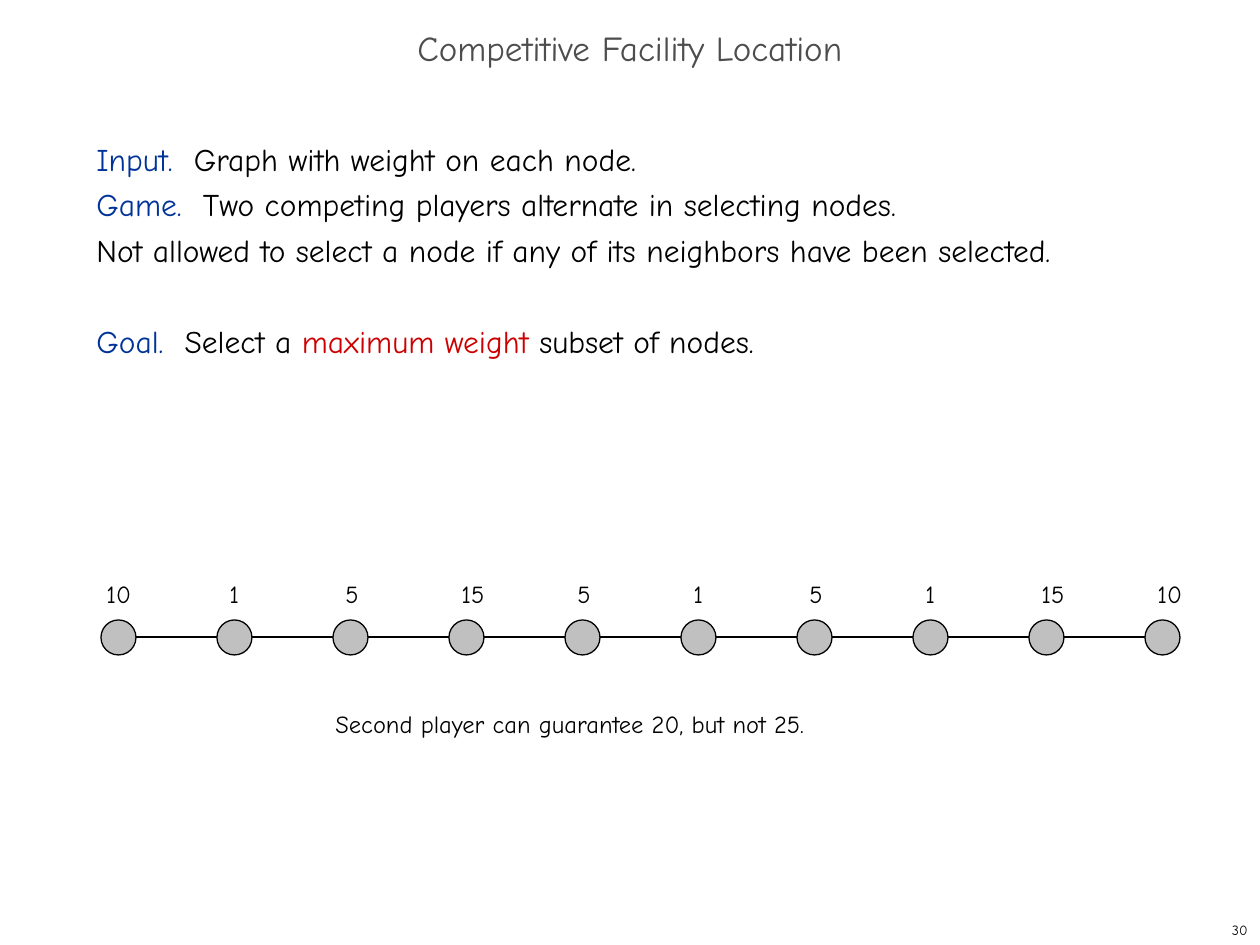
from dataclasses import dataclass

from pptx import Presentation
from pptx.dml.color import RGBColor
from pptx.enum.shapes import MSO_CONNECTOR, MSO_SHAPE
from pptx.enum.text import MSO_ANCHOR, MSO_AUTO_SIZE, PP_ALIGN
from pptx.oxml.ns import qn
from pptx.shapes.autoshape import Shape
from pptx.slide import Slide
from pptx.util import Emu, Pt

SCALE = 914400 / 126
FONT = "Comic Neue"
INK = {"black": "000000", "gray": "4D4D4D", "blue": "003399",
       "red": "CC0000", "node": "C0C0C0"}

LEFT, TOP, SIZE, STEP = 101, 620, 35, 116
WIDE = {"1": 35, "5": 39, "15": 49, "10": 50}


@dataclass
class Node:
    weight: str
    shift: int = 0


@dataclass
class Part:
    text: str
    ink: str = "black"


@dataclass
class Para:
    lines: list[list[Part]]
    before: int = 0


NODES = [Node("10", -7), Node("1"), Node("5"), Node("15"), Node("5"),
         Node("1"), Node("5"), Node("1"), Node("15"), Node("10")]

BODY = [
    Para([[Part("Input.  ", "blue"), Part("Graph with weight on each node.")]]),
    Para([[Part("Game.  ", "blue"),
           Part("Two competing players alternate in selecting nodes.")],
          [Part("Not allowed to select a node if any of its neighbors have been selected.")]]),
    Para([[Part("Goal.  ", "blue"), Part("Select a "),
           Part("maximum weight", "red"), Part(" subset of nodes.")]], before=26),
]


def px(num: int) -> Emu:
    return Emu(round(num * SCALE))


def rgb(name: str) -> RGBColor:
    return RGBColor.from_string(INK[name])


def style(run, size: int, ink: str) -> None:
    run.font.name = FONT
    run.font.size = Pt(size)
    run.font.color.rgb = rgb(ink)


def add_box(slide: Slide, x: int, y: int, w: int, h: int, wrap: bool = True) -> Shape:
    box = slide.shapes.add_textbox(px(x), px(y), px(w), px(h))
    box.text_frame.word_wrap = wrap
    if not wrap:
        box.text_frame.auto_size = MSO_AUTO_SIZE.SHAPE_TO_FIT_TEXT
    return box


def fill_box(box: Shape, text: str, size: int, ink: str = "black",
             align: PP_ALIGN = PP_ALIGN.LEFT) -> None:
    box.text_frame.text = text
    para = box.text_frame.paragraphs[0]
    para.alignment = align
    style(para.runs[0], size, ink)


def add_title(slide: Slide) -> None:
    box = add_box(slide, 0, 21, 1260, 63)
    box.text_frame.vertical_anchor = MSO_ANCHOR.MIDDLE
    fill_box(box, "Competitive Facility Location", 20, "gray", PP_ALIGN.CENTER)
    box.text_frame.paragraphs[0].line_spacing = 0.7


def add_body(slide: Slide) -> None:
    frame = add_box(slide, 84, 126, 1081, 746).text_frame
    for i, item in enumerate(BODY):
        para = frame.add_paragraph() if i else frame.paragraphs[0]
        para.line_spacing = Pt(26)
        para.space_before = Pt(item.before)
        for j, line in enumerate(item.lines):
            if j:
                para.add_line_break()
            for part in line:
                run = para.add_run()
                run.text = part.text
                style(run, 18, part.ink)


def add_node(slide: Slide, node: Node, x: int) -> None:
    """Draw one circle with its weight above it."""
    dot = slide.shapes.add_shape(MSO_SHAPE.OVAL, px(x), px(TOP), px(SIZE), px(SIZE))
    dot.shadow.inherit = False
    dot.fill.solid()
    dot.fill.fore_color.rgb = rgb("node")
    dot.line.color.rgb = rgb("black")
    dot.line.width = Pt(0.75)
    box = add_box(slide, x + node.shift, 573, WIDE[node.weight], 42, wrap=False)
    fill_box(box, node.weight, 14)


def add_edge(slide: Slide, start: int, end: int) -> None:
    y = px(TOP + SIZE // 2)
    edge = slide.shapes.add_connector(MSO_CONNECTOR.STRAIGHT, px(start), y, px(end), y)
    edge.line.color.rgb = rgb("black")
    edge.line.width = Pt(0.75)
    props = edge._element.spPr
    props.append(props.makeelement(qn("a:effectLst"), {}))


def main() -> None:
    deck = Presentation()
    deck.slide_width, deck.slide_height = px(1260), px(945)
    slide = deck.slides.add_slide(deck.slide_layouts[6])

    add_title(slide)
    add_body(slide)
    for i, node in enumerate(NODES):
        x = LEFT + i * STEP
        add_node(slide, node, x)
        if i:
            add_edge(slide, x - STEP + SIZE, x)

    note = add_box(slide, 323, 703, 496, 42, wrap=False)
    fill_box(note, "Second player can guarantee 20, but not 25.", 14)
    page = add_box(slide, 998, 914, 262, 31)
    page.text_frame.vertical_anchor = MSO_ANCHOR.MIDDLE
    fill_box(page, "30", 8, align=PP_ALIGN.RIGHT)

    deck.save("out.pptx")


if __name__ == "__main__":
    main()
